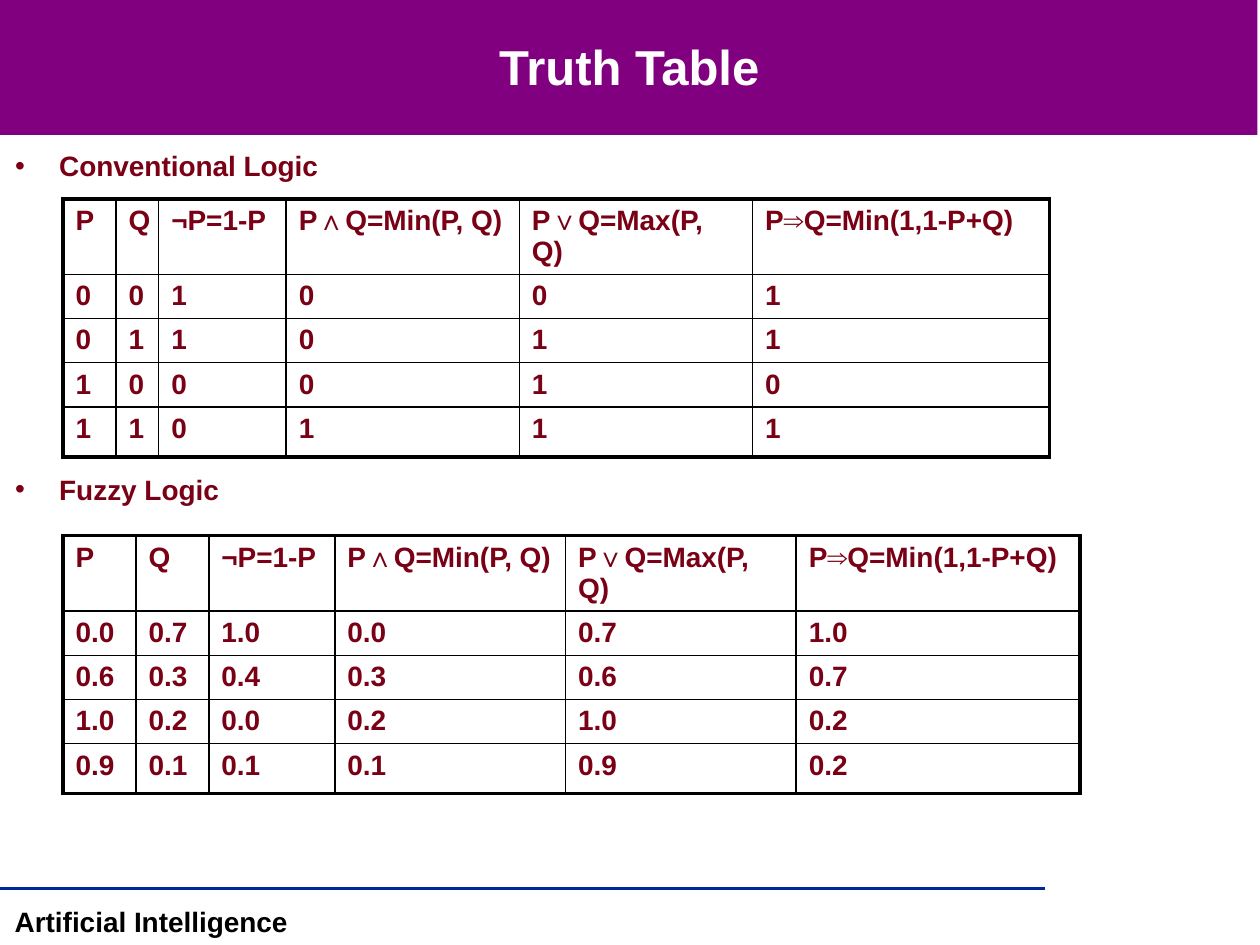
from lxml.etree import SubElement as Sub
from pptx import Presentation
from pptx.dml.color import RGBColor as Rgb
from pptx.enum.shapes import MSO_CONNECTOR as Conn, MSO_SHAPE as Shape
from pptx.enum.text import MSO_ANCHOR as Anchor, MSO_AUTO_SIZE as Fit, PP_ALIGN as Align
from pptx.oxml.ns import qn
from pptx.util import Cm, Pt

MAROON = "790015"
BLACK = "000000"


def hue(code):
    return Rgb.from_string(code)


def style(para, size, code):
    font = para.font
    font.name, font.size, font.bold = "Arial", Pt(size), True
    font.color.rgb = hue(code)


deck = Presentation()
deck.slide_width, deck.slide_height = Cm(25.4), Cm(19.05)
slide = deck.slides.add_slide(deck.slide_layouts[1])
shapes = slide.shapes

# Purple band, behind the title
band = shapes.add_shape(Shape.RECTANGLE, Cm(0), Cm(0), Cm(25.35), Cm(2.72))
band.shadow.inherit = False
band.fill.solid()
band.fill.fore_color.rgb = hue("800080")
band.line.fill.background()
shapes._spTree.insert(2, band._element)

# Title
title = shapes.title
title.left, title.top, title.width, title.height = Cm(0.05), Cm(0.03), Cm(25.27), Cm(2.59)
title.text_frame.text = "Truth Table"
title.text_frame.vertical_anchor = Anchor.MIDDLE
title.text_frame.auto_size = Fit.NONE
head = title.text_frame.paragraphs[0]
head.alignment = Align.CENTER
style(head, 28, "FFFFFF")

# Bullets, with room for the first table between them
body = slide.placeholders[1]
body.left, body.top, body.width, body.height = Cm(0.05), Cm(2.95), Cm(25.3), Cm(7.4)
body.text_frame.text = "Conventional Logic\nFuzzy Logic"
body.text_frame.auto_size = Fit.NONE
for para, gap in zip(body.text_frame.paragraphs, (0, 167.5)):
    style(para, 16, MAROON)
    para.line_spacing = 0.9
    para.space_before = Pt(gap)
    props = para._p.get_or_add_pPr()
    props.set("marL", str(Cm(0.89)))
    props.set("indent", str(-Cm(0.89)))

# Truth tables: top, column widths, values
heads = ["P", "Q", "¬P=1-P", "P∧Q=Min(P, Q)", "P∨Q=Max(P, Q)", "P⇒Q=Min(1,1-P+Q)"]
highs = [1.52, 0.89, 0.89, 0.89, 1.01]
plain = ["0 0 1 0 0 1", "0 1 1 0 1 1", "1 0 0 0 1 0", "1 1 0 1 1 1"]
fuzzy = ["0.0 0.7 1.0 0.0 0.7 1.0", "0.6 0.3 0.4 0.3 0.6 0.7",
         "1.0 0.2 0.0 0.2 1.0 0.2", "0.9 0.1 0.1 0.1 0.9 0.2"]
tables = [
    (4.01, [1.07, 0.86, 2.57, 4.7, 4.7, 5.99], plain),
    (10.8, [1.47, 1.47, 2.54, 4.65, 4.65, 5.72], fuzzy),
]
for top, wides, lines in tables:
    rows = [heads] + [line.split() for line in lines]
    grid = shapes.add_table(len(rows), len(heads), Cm(1.27), Cm(top),
                            Cm(sum(wides)), Cm(sum(highs))).table
    grid.first_row = grid.horz_banding = False
    for col, wide in zip(grid.columns, wides):
        col.width = Cm(wide)
    for r, (row, high) in enumerate(zip(rows, highs)):
        grid.rows[r].height = Cm(high)
        for c, word in enumerate(row):
            cell = grid.cell(r, c)
            cell.text = word
            cell.fill.background()
            style(cell.text_frame.paragraphs[0], 16, MAROON)
            # Thick outer frame, thin inner rules
            outer = {"L": c == 0, "R": c == len(row) - 1,
                     "T": r == 0, "B": r == len(rows) - 1}
            props = cell._tc.get_or_add_tcPr()
            for i, (side, edge) in enumerate(outer.items()):
                rule = Sub(props, qn(f"a:ln{side}"), w=str(Pt(2.25 if edge else 1)))
                ink = Sub(rule, qn("a:solidFill"))
                Sub(ink, qn("a:srgbClr"), val=BLACK)
                props.insert(i, rule)

# Footer rule and label
rule = shapes.add_connector(Conn.STRAIGHT, Cm(0), Cm(17.91), Cm(21.06), Cm(17.91))
rule.line.color.rgb = hue("00279F")
rule.line.width = Pt(2)
Sub(rule._element.spPr, qn("a:effectLst"))

label = shapes.add_textbox(Cm(0), Cm(18.11), Cm(6.1), Cm(0.94)).text_frame
label.word_wrap = False
label.text = "Artificial Intelligence"
label.paragraphs[0].alignment = Align.CENTER
style(label.paragraphs[0], 16, BLACK)

deck.save("out.pptx")
